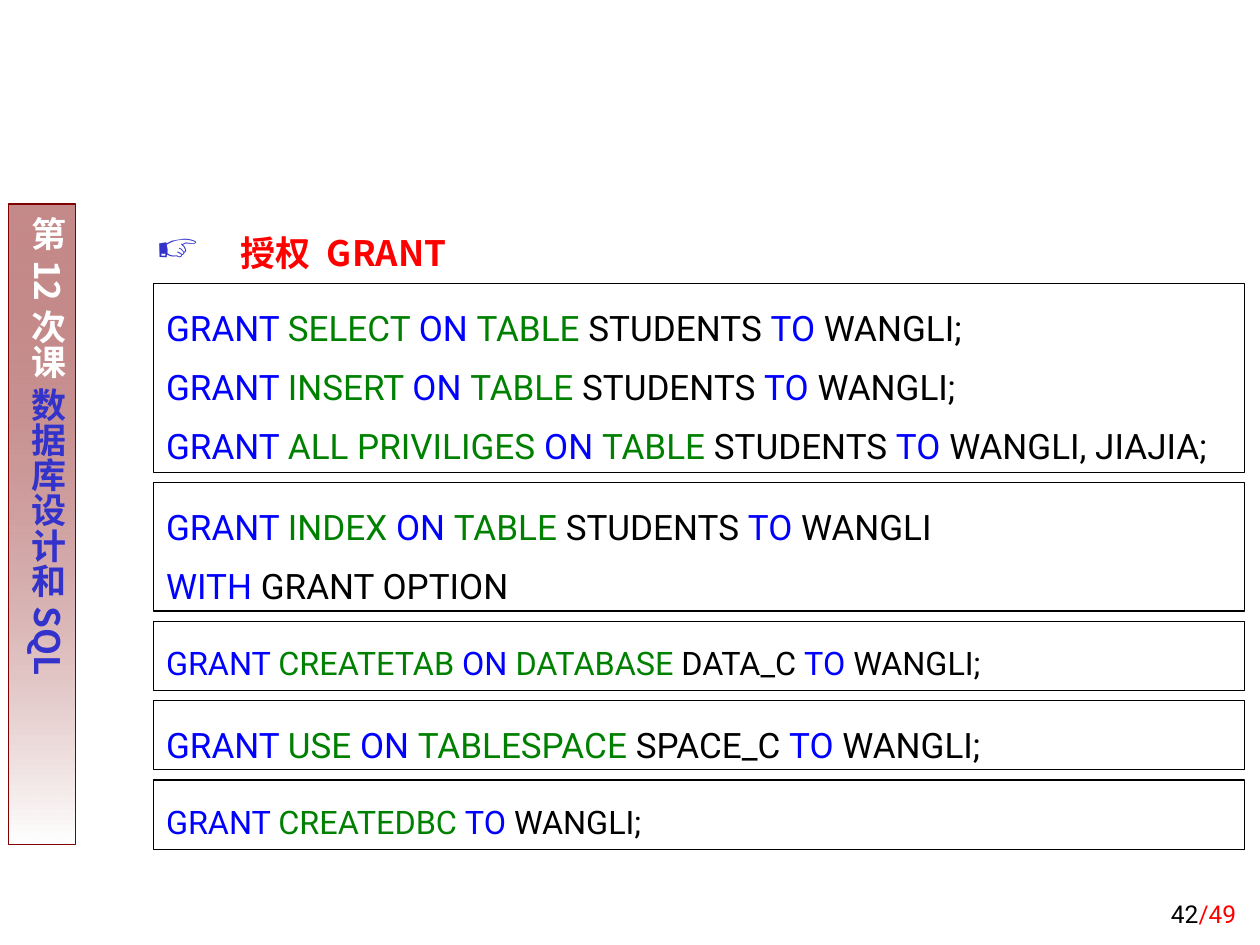
from itertools import groupby

from lxml import etree
from pptx import Presentation
from pptx.dml.color import RGBColor
from pptx.enum import shapes, text
from pptx.oxml import ns
from pptx.util import Inches, Pt

WHITE = RGBColor(0xFF, 0xFF, 0xFF)
BLACK = RGBColor(0, 0, 0)
RED = RGBColor(0xFF, 0, 0)
BLUE = RGBColor(0, 0, 0xFF)
GREEN = RGBColor(0, 0x80, 0)
MAROON = RGBColor(0x80, 0, 0)
INDIGO = RGBColor(0x33, 0x33, 0xCC)

LATIN_FONT = "Roboto"
CHINESE_FONT = "Noto Sans CJK SC"

KEYWORDS = {"GRANT", "ON", "TO", "WITH"}
PRIVILEGES = {"SELECT", "INSERT", "ALL", "PRIVILIGES", "INDEX", "CREATETAB", "USE",
              "CREATEDBC", "TABLE", "DATABASE", "TABLESPACE"}

# Height in inches, font size and statements of each box
CODE_BOXES = [
    (1.5, 20, ["GRANT SELECT ON TABLE STUDENTS TO WANGLI;",
               "GRANT INSERT ON TABLE STUDENTS TO WANGLI;",
               "GRANT ALL PRIVILIGES ON TABLE STUDENTS TO WANGLI, JIAJIA;"]),
    (1.02, 20, ["GRANT INDEX ON TABLE STUDENTS TO WANGLI",
                "WITH GRANT OPTION"]),
    (0.55, 18.5, ["GRANT CREATETAB ON DATABASE DATA_C TO WANGLI;"]),
    (0.55, 20, ["GRANT USE ON TABLESPACE SPACE_C TO WANGLI;"]),
    (0.55, 18.5, ["GRANT CREATEDBC TO WANGLI;"]),
]
BOX_GAP = 0.08


def add_child(parent, tag, **attributes):
    return etree.SubElement(parent, ns.qn(tag), attributes)


def set_font(para, name, size, bold=False):
    font = para.font
    font.name, font.size, font.bold = name, Pt(size), bold
    add_child(font._element, "a:ea", typeface=name)


def add_spans(para, spans):
    for words, color in spans:
        span = para.add_run()
        span.text = words
        span.font.color.rgb = color


def add_text_box(page, left, top, width, height):
    frame = page.shapes.add_textbox(
        Inches(left), Inches(top), Inches(width), Inches(height)).text_frame
    frame.word_wrap = True
    return frame


def add_outlined_box(page, left, top, width, height, line_color):
    box = page.shapes.add_shape(shapes.MSO_SHAPE.RECTANGLE, Inches(left),
                                Inches(top), Inches(width), Inches(height))
    box.shadow.inherit = False
    box.fill.background()
    box.line.color.rgb = line_color
    box.line.width = Pt(0.75)
    box.text_frame.vertical_anchor = text.MSO_ANCHOR.TOP
    return box


def add_sidebar(page, left, top, width, height):
    box = add_outlined_box(page, left, top, width, height, MAROON)
    box.fill.gradient()
    box.fill.gradient_angle = 270
    start, end = box.fill.gradient_stops
    start.position, end.position = 0, 1
    start.color.rgb, end.color.rgb = MAROON, WHITE
    add_child(start.color._xFill[0], "a:alpha", val="46000")

    frame = box.text_frame
    frame.margin_left = frame.margin_right = Inches(0.05)
    frame.margin_top = frame.margin_bottom = Inches(0.1)
    frame._txBody.bodyPr.set("vert", "eaVert")
    para = frame.paragraphs[0]
    para.alignment = text.PP_ALIGN.CENTER
    set_font(para, CHINESE_FONT, 20, bold=True)
    add_spans(para, [("第12次课 ", WHITE), ("数据库设计和SQL", INDIGO)])


def add_heading(page, left, top, width, height):
    para = add_text_box(page, left, top, width, height).paragraphs[0]
    para.line_spacing = 1.5
    properties = para._p.get_or_add_pPr()
    properties.set("marL", str(Inches(0.67)))
    properties.set("indent", str(-Inches(0.67)))
    bullet_color = add_child(properties, "a:buClr")
    add_child(bullet_color, "a:srgbClr", val=str(INDIGO))
    add_child(properties, "a:buSzPct", val="120000")
    add_child(properties, "a:buChar", char="☞")
    set_font(para, CHINESE_FONT, 20, bold=True)
    add_spans(para, [("授权 GRANT", RED)])


def color_statement(statement):
    """Split a statement into spans, each a run of words of one colour."""
    words = statement.split()

    def color_of(index):
        if words[index] in PRIVILEGES:
            return GREEN
        is_keyword = words[index] in KEYWORDS and (words[index] != "GRANT" or index == 0)
        return BLUE if is_keyword else BLACK

    for color, group in groupby(range(len(words)), color_of):
        indexes = list(group)
        ending = "" if indexes[-1] == len(words) - 1 else " "
        yield " ".join(words[index] for index in indexes) + ending, color


def add_code_box(page, left, top, width, height, size, statements):
    frame = add_outlined_box(page, left, top, width, height, BLACK).text_frame
    for number, statement in enumerate(statements):
        para = frame.add_paragraph() if number else frame.paragraphs[0]
        para.alignment = text.PP_ALIGN.LEFT
        para.line_spacing = 1.4
        set_font(para, LATIN_FONT, size)
        add_spans(para, color_statement(statement))


def add_code_stack(page, left, top, width):
    for height, size, statements in CODE_BOXES:
        add_code_box(page, left, top, width, height, size, statements)
        top += height + BOX_GAP


def add_page_number(page, left, top, width, height):
    frame = add_text_box(page, left, top, width, height)
    frame.vertical_anchor = text.MSO_ANCHOR.BOTTOM
    para = frame.paragraphs[0]
    para.alignment = text.PP_ALIGN.RIGHT
    set_font(para, LATIN_FONT, 14)
    add_spans(para, [("42", BLACK), ("/49", RED)])


def main():
    deck = Presentation()
    deck.slide_width, deck.slide_height = Inches(10), Inches(7.5)
    page = deck.slides.add_slide(deck.slide_layouts[6])
    add_sidebar(page, 0.07, 1.62, 0.53, 5.08)
    add_heading(page, 1.14, 1.62, 7.56, 0.63)
    add_code_stack(page, 1.22, 2.25, 8.66)
    add_page_number(page, 7.83, 6.92, 2.08, 0.5)
    deck.save("out.pptx")


if __name__ == "__main__":
    main()
